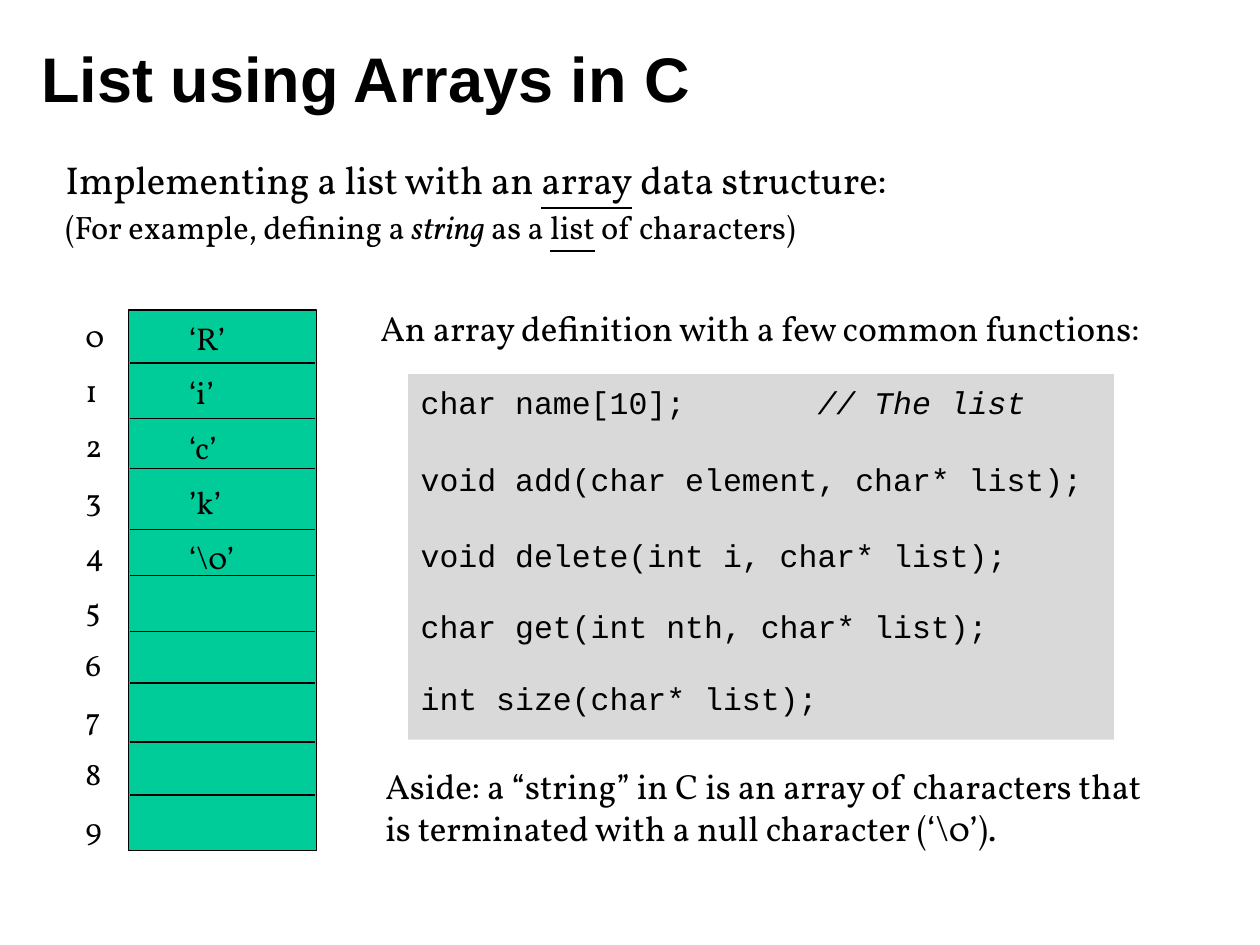
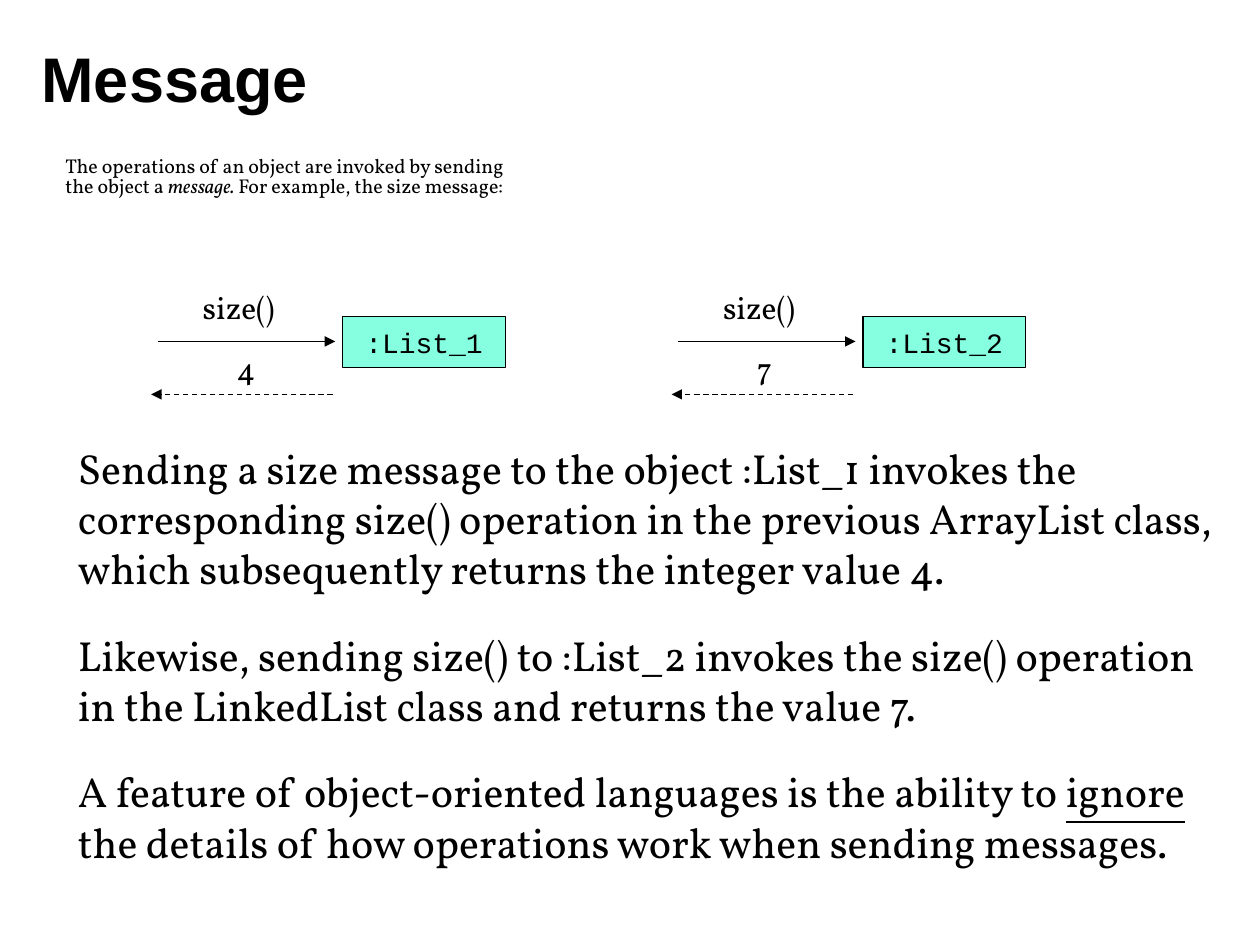
"""Build two slides about lists in C and messages between objects."""
from dataclasses import dataclass
from typing import Optional, Union

from lxml.etree import SubElement
from pptx import Presentation
from pptx.dml.color import RGBColor
from pptx.enum.dml import MSO_LINE
from pptx.enum.shapes import MSO_CONNECTOR, MSO_SHAPE
from pptx.enum.text import MSO_ANCHOR, MSO_AUTO_SIZE, PP_ALIGN
from pptx.oxml.ns import qn
from pptx.shapes.autoshape import Shape
from pptx.slide import Slide
from pptx.text.text import TextFrame
from pptx.util import Inches, Pt


@dataclass(frozen=True)
class Theme:
    ink: RGBColor = RGBColor(0x00, 0x00, 0x00)
    paper: RGBColor = RGBColor(0xFF, 0xFF, 0xFF)
    array_fill: RGBColor = RGBColor(0x00, 0xCC, 0x99)
    object_fill: RGBColor = RGBColor(0x85, 0xFF, 0xE0)
    code_fill: RGBColor = RGBColor(0xD9, 0xD9, 0xD9)
    title_font: str = "Arial"
    body_font: str = "Vollkorn"
    code_font: str = "Courier New"
    title_size: float = 36
    body_size: float = 24
    lead_size: float = 22.2
    note_size: float = 20
    sublead_size: float = 18.5
    label_size: float = 18
    object_size: float = 16
    small_size: float = 11.4
    line_width: float = 0.75


THEME = Theme()


@dataclass(frozen=True)
class Box:
    left: float
    top: float
    width: float
    height: float

    def lengths(self) -> tuple:
        return tuple(Inches(value) for value in (self.left, self.top, self.width, self.height))


@dataclass(frozen=True)
class Span:
    text: str
    italic: bool = False
    underline: bool = False


@dataclass(frozen=True)
class Line:
    spans: tuple
    space_before: float = 0
    size: Optional[float] = None
    tab_stop: Optional[float] = None


@dataclass(frozen=True)
class MessageExchange:
    left: float
    receiver: str
    answer: str


Content = Union[str, Line]


def write_text(frame: TextFrame, *lines: Content, font: str = THEME.body_font,
               size: float = THEME.label_size, bold: bool = False,
               align: PP_ALIGN = PP_ALIGN.LEFT, anchor: MSO_ANCHOR = MSO_ANCHOR.TOP,
               line_spacing: Union[float, Pt, None] = None, gap: float = 0) -> None:
    frame.word_wrap = True
    frame.auto_size = MSO_AUTO_SIZE.NONE
    frame.vertical_anchor = anchor
    for index, content in enumerate(lines):
        line = content if isinstance(content, Line) else Line((Span(content),), gap)
        paragraph = frame.paragraphs[0] if index == 0 else frame.add_paragraph()
        paragraph.alignment = align
        if line_spacing is not None:
            paragraph.line_spacing = line_spacing
        paragraph.space_before = Pt(line.space_before if index else 0)
        if line.tab_stop is not None:
            tab_list = SubElement(paragraph._p.get_or_add_pPr(), qn("a:tabLst"))
            SubElement(tab_list, qn("a:tab"), pos=str(Inches(line.tab_stop)), algn="l")
        for span in line.spans:
            for part_index, part in enumerate(span.text.split("\n")):
                if part_index:
                    paragraph.add_line_break()
                run = paragraph.add_run()
                run.text = part
                run.font.name = font
                run.font.size = Pt(line.size or size)
                run.font.bold = bold
                run.font.italic = span.italic
                run.font.underline = span.underline
                run.font.color.rgb = THEME.ink


def add_text(slide: Slide, box: Box, *lines: Content, **text_format) -> None:
    write_text(slide.shapes.add_textbox(*box.lengths()).text_frame, *lines, **text_format)


def add_rectangle(slide: Slide, box: Box, fill: RGBColor, outlined: bool = True) -> Shape:
    shape = slide.shapes.add_shape(MSO_SHAPE.RECTANGLE, *box.lengths())
    shape.shadow.inherit = False
    shape.fill.solid()
    shape.fill.fore_color.rgb = fill
    if outlined:
        shape.line.color.rgb = THEME.ink
        shape.line.width = Pt(THEME.line_width)
    else:
        shape.line.fill.background()
    return shape


def add_line(slide: Slide, start: float, end: float, top: float,
             arrow: bool = False, dashed: bool = False) -> None:
    connector = slide.shapes.add_connector(
        MSO_CONNECTOR.STRAIGHT, Inches(start), Inches(top), Inches(end), Inches(top))
    connector.line.color.rgb = THEME.ink
    connector.line.width = Pt(THEME.line_width)
    if dashed:
        connector.line.dash_style = MSO_LINE.DASH
    properties = connector._element.spPr
    if arrow:
        SubElement(properties.find(qn("a:ln")), qn("a:tailEnd"), type="triangle")
    SubElement(properties, qn("a:effectLst"))


def add_titled_slide(presentation: Presentation, title: str) -> Slide:
    slide = presentation.slides.add_slide(presentation.slide_layouts[5])
    slide.background.fill.solid()
    slide.background.fill.fore_color.rgb = THEME.paper
    placeholder = slide.shapes.title
    box = Box(0.23, 0.15, 8.03, 0.93)
    placeholder.left, placeholder.top, placeholder.width, placeholder.height = box.lengths()
    write_text(placeholder.text_frame, title, font=THEME.title_font,
               size=THEME.title_size, bold=True, anchor=MSO_ANCHOR.MIDDLE)
    return slide


def add_array(slide: Slide) -> None:
    row_gap = 9.7
    add_rectangle(slide, Box(1.02, 2.46, 1.49, 4.29), THEME.array_fill)
    add_text(slide, Box(1.4, 2.48, 0.9, 2.27), "‘R’", "‘i’", "‘c’", "’k’", "‘\\0’", gap=row_gap)
    add_text(slide, Box(0.58, 2.46, 0.4, 4.3), *map(str, range(10)), gap=row_gap)
    for divider_top in (2.88, 3.32, 3.72, 4.2, 4.57, 5.01, 5.42, 5.89, 6.31):
        add_line(slide, 1.03, 2.5, divider_top)


def add_code(slide: Slide) -> None:
    panel = add_rectangle(slide, Box(3.24, 2.97, 5.6, 2.9), THEME.code_fill, outlined=False)
    panel.text_frame.margin_top = Inches(0.07)
    write_text(
        panel.text_frame,
        Line((Span("char name[10];\t"), Span("// The list", italic=True)), tab_stop=3.15),
        Line((Span("void add(char element, char* list);"),), 22),
        Line((Span("void delete(int i, char* list);"),), 22),
        Line((Span("char get(int nth, char* list);"),), 19),
        Line((Span("int size(char* list);"),), 19),
        font=THEME.code_font, line_spacing=Pt(21.7))


def add_exchange(slide: Slide, exchange: MessageExchange) -> None:
    left = exchange.left
    receiver = add_rectangle(slide, Box(left + 1.52, 2.51, 1.29, 0.41), THEME.object_fill)
    write_text(receiver.text_frame, exchange.receiver, font=THEME.code_font,
               size=THEME.object_size, align=PP_ALIGN.CENTER, anchor=MSO_ANCHOR.MIDDLE)
    add_line(slide, left + 0.05, left + 1.46, 2.71, arrow=True)
    add_text(slide, Box(left + 0.31, 2.24, 0.9, 0.4), "size()")
    add_line(slide, left + 1.44, left, 3.13, arrow=True, dashed=True)
    add_text(slide, Box(left + 0.58, 2.72, 0.4, 0.4), exchange.answer)


def build_array_slide(presentation: Presentation) -> None:
    slide = add_titled_slide(presentation, "List using Arrays in C")
    add_text(
        slide, Box(0.42, 1.23, 7.75, 0.93),
        Line((Span("Implementing a list with an "), Span("array", underline=True),
              Span(" data structure:"))),
        Line((Span("(For example, defining a "), Span("string", italic=True), Span(" as a "),
              Span("list", underline=True), Span(" of characters)")), 5, THEME.sublead_size),
        size=THEME.lead_size, line_spacing=0.9)
    add_array(slide)
    add_code(slide)
    add_text(slide, Box(2.96, 6.02, 6.39, 0.76),
             "Aside: a “string” in C is an array of characters that "
             "is terminated with a null character (‘\\0’).", size=THEME.note_size)
    add_text(slide, Box(2.92, 2.38, 6.47, 0.52),
             "An array definition with a few common functions:", size=THEME.note_size)


def build_message_slide(presentation: Presentation) -> None:
    slide = add_titled_slide(presentation, "Message")
    add_text(
        slide, Box(0.42, 1.21, 8.55, 0.99),
        Line((Span("The operations of an object are invoked by sending\nthe object a "),
              Span("message.", italic=True), Span(" For example, the size message:"))),
        size=THEME.small_size, line_spacing=0.8)
    for exchange in (MessageExchange(1.2, ":List_1", "4"), MessageExchange(5.33, ":List_2", "7")):
        add_exchange(slide, exchange)
    paragraph_gap = 20.5
    add_text(
        slide, Box(0.52, 3.46, 9.25, 3.45),
        "Sending a size message to the object :List_1 invokes the corresponding size() "
        "operation in the previous ArrayList class, which subsequently returns the "
        "integer value 4.",
        "Likewise, sending size() to :List_2 invokes the size() operation in the "
        "LinkedList class and returns the value 7.",
        Line((Span("A feature of object-oriented languages is the ability to "),
              Span("ignore", underline=True),
              Span(" the details of how operations work when sending messages.")),
             paragraph_gap),
        size=THEME.body_size, gap=paragraph_gap)


def main() -> None:
    presentation = Presentation()
    presentation.slide_width = Inches(10)
    presentation.slide_height = Inches(7.5)
    build_array_slide(presentation)
    build_message_slide(presentation)
    presentation.save("out.pptx")


if __name__ == "__main__":
    main()
